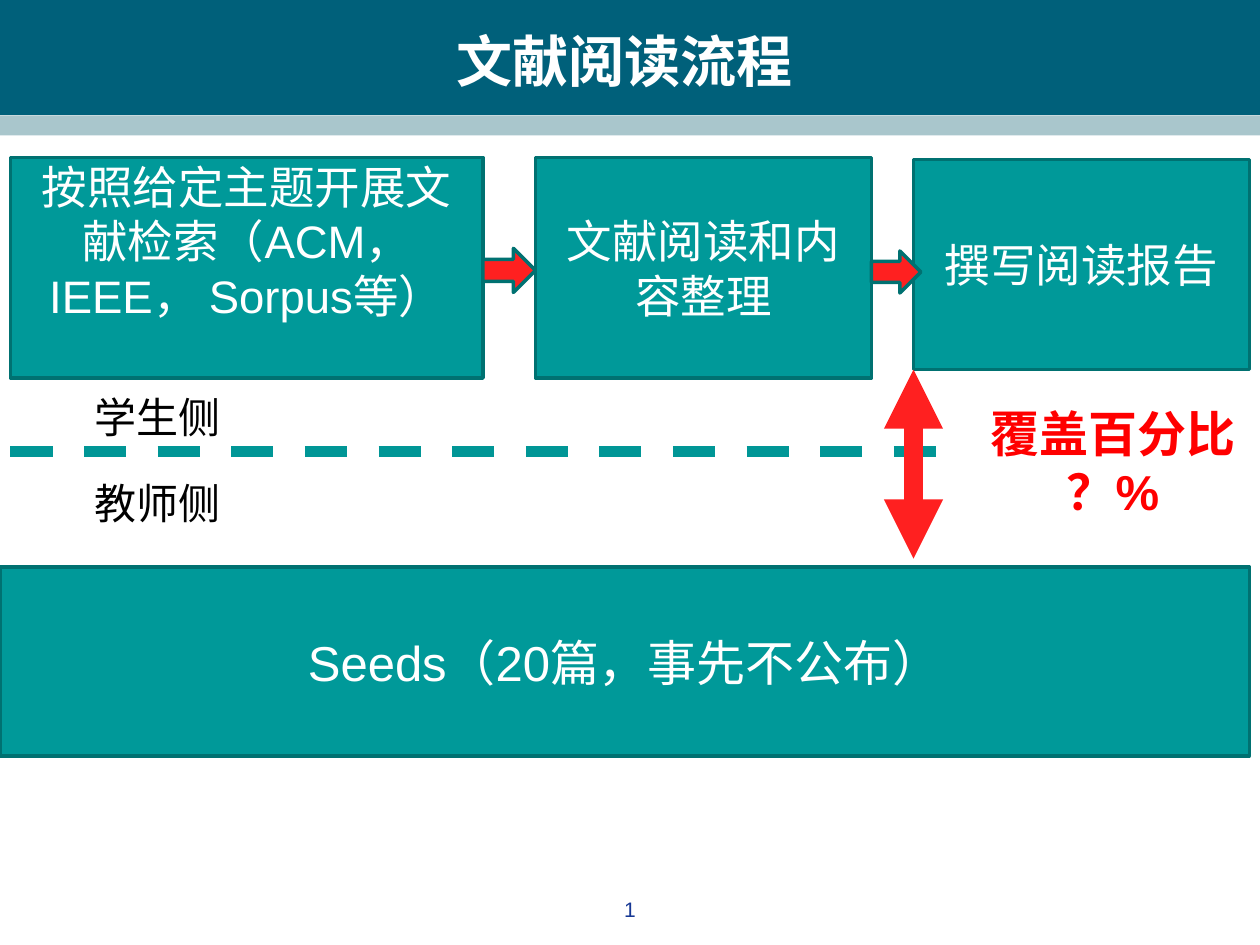
from dataclasses import dataclass
from typing import Optional

from lxml.etree import SubElement
from pptx import Presentation
from pptx.dml.color import RGBColor
from pptx.enum.dml import MSO_LINE_DASH_STYLE as Dash
from pptx.enum.shapes import MSO_CONNECTOR_TYPE as Connector, MSO_SHAPE as Shape
from pptx.enum.text import MSO_ANCHOR as Anchor, PP_ALIGN as Align
from pptx.oxml.ns import qn
from pptx.util import Inches, Pt

COLUMNS, ROWS = 120, 90  # grid cells are 1/12 inch square
TEAL, EDGE, RED, WHITE = "009999", "007171", "FF2020", "FFFFFF"

presentation = Presentation()
presentation.slide_width = Inches(10)
presentation.slide_height = Inches(7.5)
slide = presentation.slides.add_slide(presentation.slide_layouts[6])


@dataclass
class Block:
    column: float
    row: float
    width: float
    height: float
    fill: Optional[str] = TEAL
    edge: Optional[str] = EDGE
    text: str = ""
    size: float = 26
    color: str = WHITE
    bold: bool = False
    font: str = "Arial"
    preset: Shape = Shape.RECTANGLE
    bottom_inset: float = 0.05


def color_of(value: str) -> RGBColor:
    return RGBColor.from_string(value)


def across(columns: float) -> int:
    return round(presentation.slide_width * columns / COLUMNS)


def down(rows: float) -> int:
    return round(presentation.slide_height * rows / ROWS)


def write_text(shape, block: Block) -> None:
    frame = shape.text_frame
    frame.word_wrap = True
    frame.vertical_anchor = Anchor.MIDDLE
    frame.margin_bottom = Inches(block.bottom_inset)
    for index, line in enumerate(block.text.split("\n")):
        paragraph = frame.add_paragraph() if index else frame.paragraphs[0]
        paragraph.alignment = Align.CENTER
        run = paragraph.add_run()
        run.text = line
        run.font.name = block.font
        run.font.size = Pt(block.size)
        run.font.bold = block.bold
        run.font.color.rgb = color_of(block.color)


def draw_block(block: Block) -> None:
    place = (across(block.column), down(block.row),
             across(block.width), down(block.height))
    if block.fill is None:
        shape = slide.shapes.add_textbox(*place)
    else:
        shape = slide.shapes.add_shape(block.preset, *place)
        shape.shadow.inherit = False
        shape.fill.solid()
        shape.fill.fore_color.rgb = color_of(block.fill)
        if block.edge:
            shape.line.color.rgb = color_of(block.edge)
            shape.line.width = Pt(2)
        else:
            shape.line.fill.background()
    if block.text:
        write_text(shape, block)


def draw_dashed_line(start: tuple[float, float], end: tuple[float, float],
                     color: str, width: float, arrows: bool = False) -> None:
    line = slide.shapes.add_connector(
        Connector.STRAIGHT, across(start[0]), down(start[1]),
        across(end[0]), down(end[1]))
    line.line.color.rgb = color_of(color)
    line.line.width = Pt(width)
    line.line.dash_style = Dash.DASH
    properties = line._element.spPr
    if arrows:
        outline = properties.find(qn("a:ln"))
        for tag in ("a:headEnd", "a:tailEnd"):
            SubElement(outline, qn(tag), type="triangle")
    SubElement(properties, qn("a:effectLst"))


def label(column: float, row: float, width: float, height: float, text: str,
          size: float = 24, color: str = "000000", bold: bool = False) -> Block:
    return Block(column, row, width, height, WHITE, WHITE, text, size, color, bold)


# Header bands, title and page number
header = [
    Block(0, 0, COLUMNS, 10.95, "00607A", None),
    Block(0, 11, COLUMNS, 1.9, "A9C6CC", None),
    Block(4, 2, 111, 7.5, None, None, "文献阅读流程", 32, bold=True,
          font="DejaVu Sans"),
    Block(46, 84.5, 28, 4.2, None, None, "1", 12, "163794"),
]

# Student steps above the seed papers
steps = [
    Block(1, 15, 45, 21, text="按照给定主题开展文献检索（ACM，IEEE， Sorpus等）",
          bottom_inset=0.48),
    Block(0, 54, 119, 18, text="Seeds（20篇，事先不公布）", size=28),
    Block(51, 15, 32, 21, text="文献阅读和内容整理"),
    Block(87, 15.2, 32, 20, text="撰写阅读报告"),
]

# Arrows between the steps
arrows = [
    Block(46, 23.65, 5, 4.2, RED, preset=Shape.RIGHT_ARROW),
    Block(83, 23.9, 4.7, 4, RED, preset=Shape.RIGHT_ARROW),
]

# Names of the two sides, and the coverage question
side_labels = [label(2, 37, 26, 5.3, "学生侧"), label(2, 45.2, 26, 5.4, "教师侧")]
coverage = label(92, 37.5, 28, 13, "覆盖百分比\n？%", 28, "FF0000", True)

for part in header + steps:
    draw_block(part)
draw_dashed_line((1, 43), (119, 43), "009696", 6)
for part in arrows + side_labels:
    draw_block(part)
draw_dashed_line((87, 35.2), (87, 53.2), RED, 11.25, arrows=True)
draw_block(coverage)

presentation.save("out.pptx")
